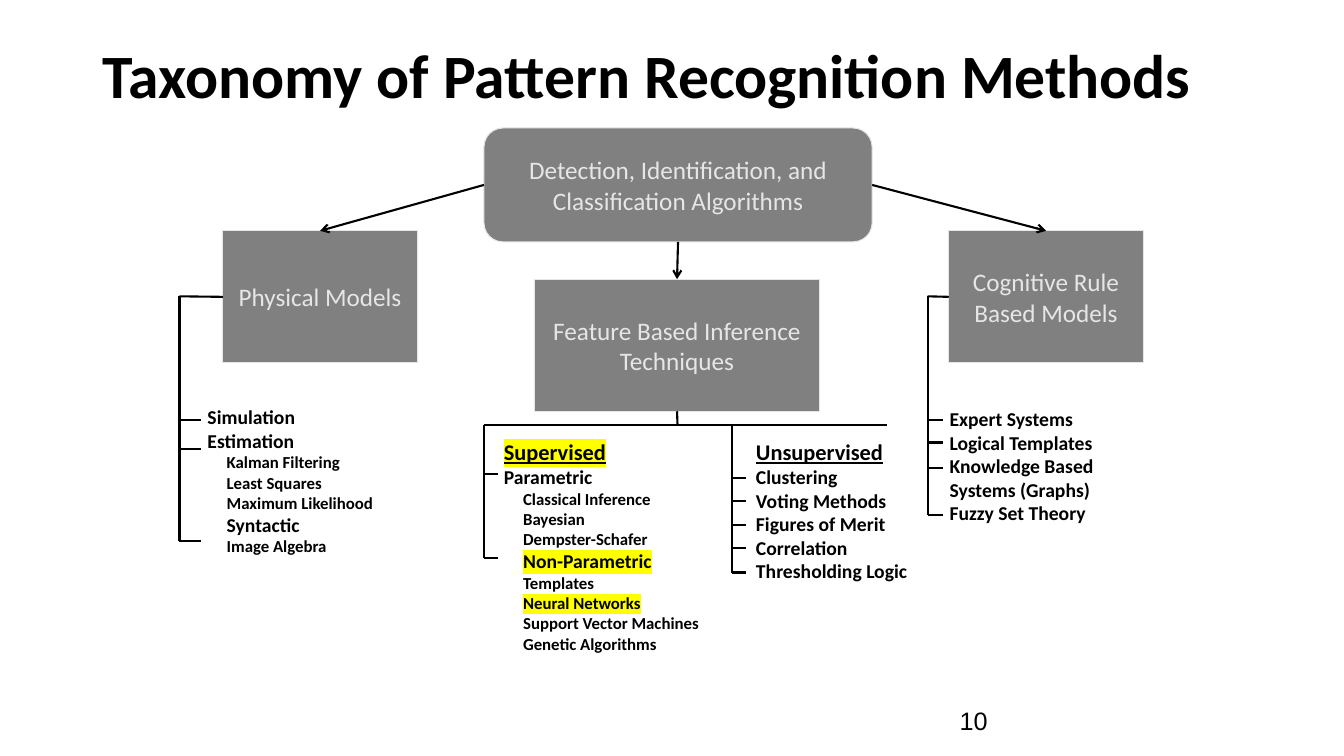
from lxml import etree
from pptx import Presentation
from pptx.dml.color import RGBColor
from pptx.enum.shapes import MSO_CONNECTOR, MSO_SHAPE
from pptx.enum.text import MSO_ANCHOR, MSO_AUTO_SIZE, PP_ALIGN
from pptx.oxml.ns import qn
from pptx.util import Inches, Pt

STRAIGHT = MSO_CONNECTOR.STRAIGHT
RECTANGLE, ROUNDED = MSO_SHAPE.RECTANGLE, MSO_SHAPE.ROUNDED_RECTANGLE
ANCHOR_TOP, ANCHOR_MIDDLE = MSO_ANCHOR.TOP, MSO_ANCHOR.MIDDLE
NO_AUTOFIT, GROW = MSO_AUTO_SIZE.NONE, MSO_AUTO_SIZE.SHAPE_TO_FIT_TEXT
LEFT, CENTER = PP_ALIGN.LEFT, PP_ALIGN.CENTER
TOP_SIDE, LEFT_SIDE, BOTTOM_SIDE, RIGHT_SIDE = range(4)

BLACK = RGBColor(0x00, 0x00, 0x00)
WHITE = RGBColor(0xFF, 0xFF, 0xFF)
GRAY = RGBColor(0x80, 0x80, 0x80)
PALE = RGBColor(0xE7, 0xE6, 0xE6)
YELLOW = RGBColor(0xFF, 0xFF, 0x00)

# Size in points and left indent in inches of each kind of list entry
HEADING, ITEM, SUBITEM, DETAIL = (16, 0), (14, 0), (14, 0.19), (12, 0.19)

PHYSICAL = [
    ("Simulation", ITEM), ("Estimation", ITEM),
    ("Kalman Filtering", DETAIL), ("Least Squares", DETAIL),
    ("Maximum Likelihood", DETAIL), ("Syntactic", SUBITEM),
    ("Image Algebra", DETAIL),
]
COGNITIVE = [(text, ITEM) for text in (
    "Expert Systems", "Logical Templates", "Knowledge Based",
    "Systems (Graphs)", "Fuzzy Set Theory")]
SUPERVISED = [
    ("Supervised", HEADING), ("Parametric", ITEM),
    ("Classical Inference", DETAIL), ("Bayesian", DETAIL),
    ("Dempster-Schafer", DETAIL), ("Non-Parametric", SUBITEM),
    ("Templates", DETAIL), ("Neural Networks", DETAIL),
    ("Support Vector Machines", DETAIL), ("Genetic Algorithms", DETAIL),
]
UNSUPERVISED = [("Unsupervised", HEADING)] + [(text, ITEM) for text in (
    "Clustering", "Voting Methods", "Figures of Merit", "Correlation",
    "Thresholding Logic")]
HIGHLIGHTED = {"Supervised", "Non-Parametric", "Neural Networks"}


def add_run(paragraph, text, size, color=BLACK, bold=False, face="Calibri"):
    run = paragraph.add_run()
    run.text = text
    run.font.size = Pt(size)
    run.font.bold = bold
    run.font.name = face
    run.font.color.rgb = color
    return run


def highlight(run):
    fill = run.font.fill._xPr.find(qn("a:solidFill"))
    marker = etree.Element(qn("a:highlight"))
    etree.SubElement(marker, qn("a:srgbClr")).set("val", str(YELLOW))
    fill.addnext(marker)


def add_title(slide, text):
    title = slide.shapes.title
    title.left, title.top = Inches(0.92), Inches(0.4)
    title.width, title.height = Inches(11.5), Inches(1.45)
    frame = title.text_frame
    frame.auto_size = NO_AUTOFIT
    frame.vertical_anchor = ANCHOR_TOP
    paragraph = frame.paragraphs[0]
    paragraph.alignment = LEFT
    paragraph.line_spacing = 0.9
    add_run(paragraph, text, 44, bold=True)


def add_box(slide, text, left, top, width, height, kind=RECTANGLE):
    box = slide.shapes.add_shape(
        kind, Inches(left), Inches(top), Inches(width), Inches(height))
    box.shadow.inherit = False
    box.fill.solid()
    box.fill.fore_color.rgb = GRAY
    box.line.color.rgb = PALE
    box.line.width = Pt(0.75)
    frame = box.text_frame
    frame.word_wrap = True
    frame.vertical_anchor = ANCHOR_MIDDLE
    paragraph = frame.paragraphs[0]
    paragraph.alignment = CENTER
    add_run(paragraph, text, 18, PALE)
    return box


def add_list(slide, entries, left, top, width, height, backed=False):
    """Add a method list; a backed one wraps and has a white background."""
    methods = slide.shapes.add_textbox(
        Inches(left), Inches(top), Inches(width), Inches(height))
    if backed:
        methods.fill.solid()
        methods.fill.fore_color.rgb = WHITE
    frame = methods.text_frame
    frame.word_wrap = backed
    frame.auto_size = GROW
    for index, (text, style) in enumerate(entries):
        size, indent = style
        paragraph = frame.add_paragraph() if index else frame.paragraphs[0]
        paragraph._p.get_or_add_pPr().set("marL", str(Inches(indent)))
        run = add_run(paragraph, text, size, bold=True)
        run.font.underline = style == HEADING
        if text in HIGHLIGHTED:
            highlight(run)


def add_line(slide, start, end):
    line = slide.shapes.add_connector(
        STRAIGHT, *(Inches(value) for value in start + end))
    line.line.color.rgb = BLACK
    line.line.width = Pt(1.5)
    etree.SubElement(line._element.spPr, qn("a:effectLst"))
    return line


def add_arrow(slide, source, source_side, target):
    """Add an arrow from a side of source to the top of target."""
    arrow = add_line(slide, (0, 0), (1, 1))
    arrow.begin_connect(source, source_side)
    arrow.end_connect(target, TOP_SIDE)
    head = etree.SubElement(arrow.line._get_or_add_ln(), qn("a:tailEnd"))
    head.set("type", "arrow")


def add_stem(slide, box, side, end):
    add_line(slide, end, end).begin_connect(box, side)


def add_bracket(slide, x, top, ticks, tick_length):
    """Add a vertical line down to the last tick, and all its ticks."""
    add_line(slide, (x, top), (x, ticks[-1]))
    for y in ticks:
        add_line(slide, (x, y), (x + tick_length, y))


def add_page_number(slide, number):
    box = slide.shapes.add_textbox(
        Inches(9.42), Inches(6.95), Inches(3), Inches(0.4))
    frame = box.text_frame
    frame.word_wrap = True
    frame.vertical_anchor = ANCHOR_MIDDLE
    add_run(frame.paragraphs[0], number, 18, face="Arial")


def main():
    deck = Presentation()
    deck.slide_width, deck.slide_height = Inches(13.33), Inches(7.5)
    slide = deck.slides.add_slide(deck.slide_layouts[5])
    add_title(slide, "Taxonomy of Pattern Recognition Methods")

    algorithms = add_box(
        slide, "Detection, Identification, and Classification Algorithms",
        4.8, 1.27, 3.85, 1.13, ROUNDED)
    physical = add_box(slide, "Physical Models", 2.21, 2.29, 1.93, 1.31)
    features = add_box(slide, "Feature Based Inference Techniques",
                       5.3, 2.77, 2.83, 1.31)
    cognitive = add_box(slide, "Cognitive Rule Based Models",
                        9.41, 2.29, 1.93, 1.31)

    add_list(slide, PHYSICAL, 1.96, 3.97, 1.84, 1.6)
    add_list(slide, COGNITIVE, 9.32, 3.99, 1.67, 1.27)
    add_list(slide, SUPERVISED, 4.9, 4.3, 2.24, 2.23, backed=True)
    add_list(slide, UNSUPERVISED, 7.4, 4.3, 1.7, 1.53)

    add_arrow(slide, algorithms, LEFT_SIDE, physical)
    add_arrow(slide, algorithms, RIGHT_SIDE, cognitive)
    add_arrow(slide, algorithms, BOTTOM_SIDE, features)

    add_stem(slide, physical, LEFT_SIDE, (1.78, 2.94))
    add_stem(slide, cognitive, LEFT_SIDE, (9.2, 2.94))
    add_stem(slide, features, BOTTOM_SIDE, (6.72, 4.22))
    add_line(slide, (4.8, 4.22), (8.8, 4.22))

    add_bracket(slide, 1.78, 2.94, [4.17, 4.45, 5.37], 0.21)
    add_bracket(slide, 4.8, 4.22, [4.7, 5.54], 0.14)
    add_bracket(slide, 7.26, 4.22, [4.74, 4.97, 5.21, 5.44, 5.68], 0.14)
    add_bracket(slide, 9.2, 2.94, [4.17, 4.39, 4.64, 5.11], 0.15)

    add_page_number(slide, "10")
    deck.save("out.pptx")


if __name__ == "__main__":
    main()
